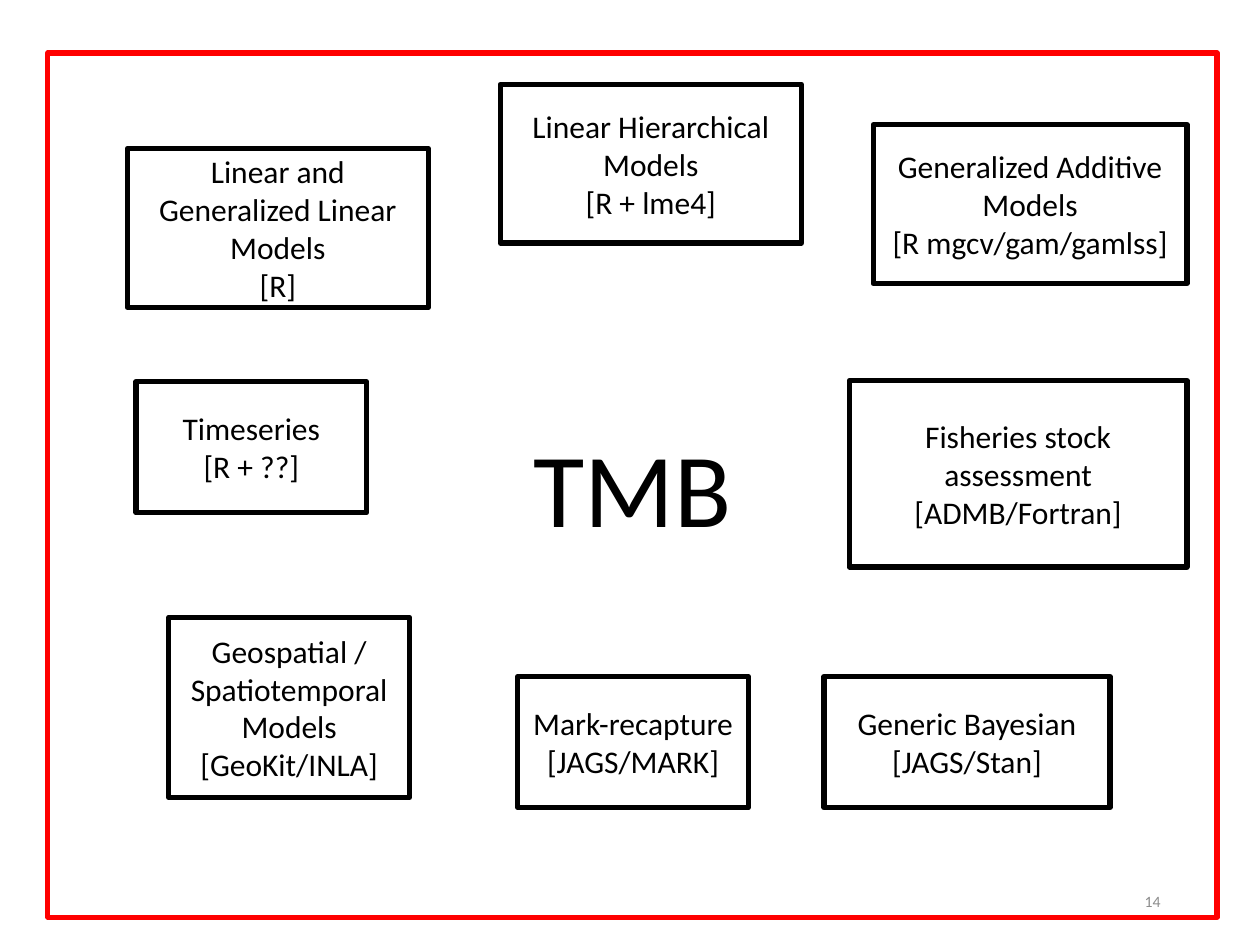
"""Build a slide of modelling approaches arranged around TMB."""
from dataclasses import dataclass
from typing import Any

from pptx import Presentation
from pptx.dml.color import RGBColor
from pptx.enum.shapes import MSO_SHAPE
from pptx.enum.text import MSO_ANCHOR, PP_ALIGN
from pptx.util import Inches, Pt

RECTANGLE = MSO_SHAPE.RECTANGLE
MIDDLE = MSO_ANCHOR.MIDDLE
CENTER, RIGHT = PP_ALIGN.CENTER, PP_ALIGN.RIGHT

MODELS = [
    ((6.74, 3.02, 2.68, 1.48), ["Fisheries stock assessment", "[ADMB/Fortran]"]),
    ((1.01, 1.18, 2.39, 1.26), ["Linear and Generalized Linear Models", "[R]"]),
    ((1.34, 4.9, 1.91, 1.43), ["Geospatial / Spatiotemporal", "Models", "[GeoKit/INLA]"]),
    ((6.93, 0.99, 2.49, 1.26), ["Generalized Additive Models", "[R mgcv/gam/gamlss]"]),
    ((4.11, 5.37, 1.83, 1.04), ["Mark-recapture", "[JAGS/MARK]"]),
    ((6.54, 5.37, 2.27, 1.04), ["Generic Bayesian", "[JAGS/Stan]"]),
    ((3.97, 0.67, 2.39, 1.26), ["Linear Hierarchical Models", "[R + lme4]"]),
    ((1.08, 3.03, 1.83, 1.04), ["Timeseries", "[R + ??]"]),
]


def color(value):
    return RGBColor.from_string(value)


@dataclass
class Sketch:
    page: Any
    font: str = "Calibri"
    ink: str = "000000"
    line_width: float = 3

    def set_text(self, shape, lines, size, ink, align):
        frame = shape.text_frame
        frame.word_wrap = True
        frame.vertical_anchor = MIDDLE
        frame.text = "\n".join(lines)
        for para in frame.paragraphs:
            para.alignment = align
            para.font.name = self.font
            para.font.size = Pt(size)
            para.font.color.rgb = color(ink)

    def box(self, place, lines, size=18, outline="000000"):
        box = self.page.shapes.add_shape(RECTANGLE, *map(Inches, place))
        box.shadow.inherit = False
        box.fill.background()
        box.line.color.rgb = color(outline)
        box.line.width = Pt(self.line_width)
        self.set_text(box, lines, size, self.ink, CENTER)

    def label(self, place, text, size, ink, align):
        label = self.page.shapes.add_textbox(*map(Inches, place))
        self.set_text(label, [text], size, ink, align)


def main():
    deck = Presentation()
    deck.slide_width, deck.slide_height = Inches(10), Inches(7.5)
    sketch = Sketch(deck.slides.add_slide(deck.slide_layouts[6]))
    sketch.box((0.38, 0.42, 9.28, 6.86), ["TMB"], size=60, outline="FF0000")
    for place, lines in MODELS:
        sketch.box(place, lines)
    sketch.label((7.06, 6.95, 2.25, 0.4), "14", 9, "8C8C8C", RIGHT)
    deck.save("out.pptx")


if __name__ == "__main__":
    main()
